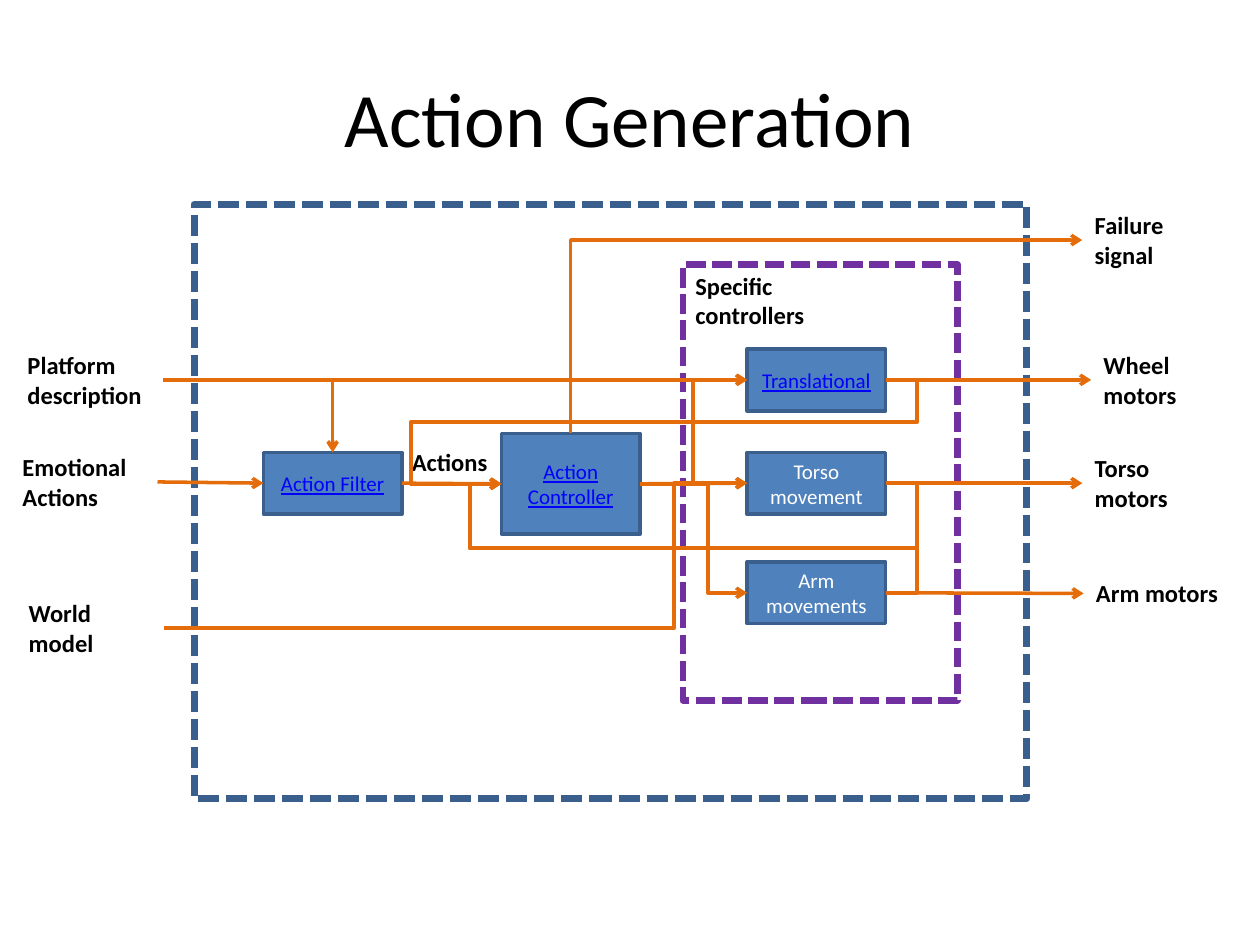
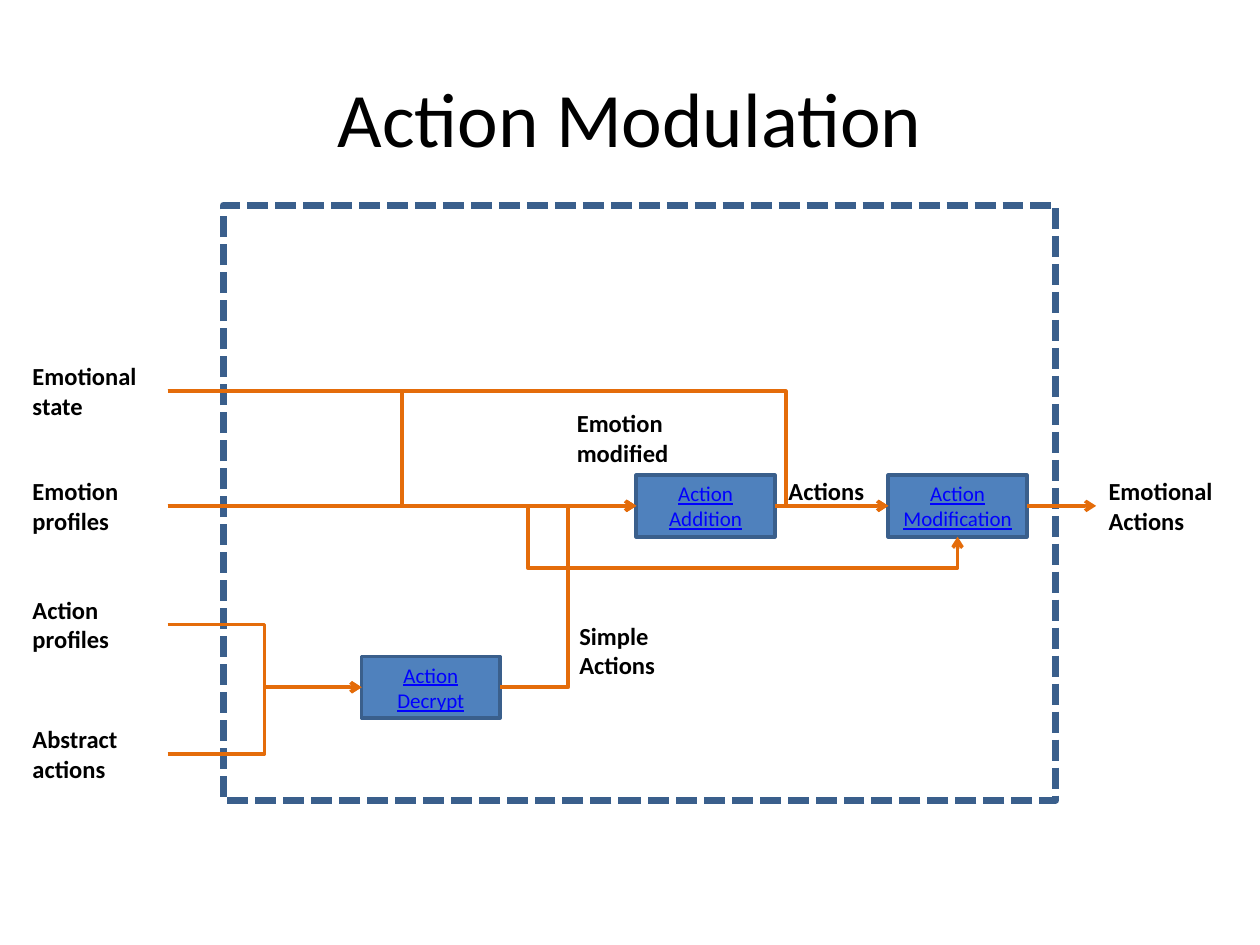
"""Build two block diagrams: action generation and action modulation."""
from lxml import etree
from pptx import Presentation
from pptx import util as u
from pptx.dml.color import RGBColor
from pptx.enum import dml, shapes, text
from pptx.oxml.ns import qn

COLORS = {"black": "000000", "white": "FFFFFF", "block": "4F81BD", "edge": "3A5F8C",
          "group": "7030A0", "flow": "E46C0A", "linked": "0000FF"}
FONT = "Calibri"
TOP, LEFT, BOTTOM, RIGHT = range(4)
LABEL_WIDTH, BLOCK_WIDTH = 1.17, 1.1
ONE_LINE, TWO_LINES = 0.34, 0.57

# frames: left, top, width, height, edge colour, edge weight
# blocks: wording, left, top, height, text colour
# labels: wording, left, top, height
# flows: start, side, end, side, bends (alternating x and y; None is straight), arrow end
DIAGRAMS = [
    {
        "title": "Action Generation",
        "frames": [(1.54, 1.62, 6.61, 4.72, "edge", 4),
                   (5.42, 2.1, 2.18, 3.46, "group", 3.75)],
        "blocks": [("Action Filter", 2.09, 3.59, 0.49, "linked"),
                   ("Action Controller", 3.98, 3.44, 0.8, "linked"),
                   ("Translational", 5.93, 2.77, 0.49, "linked"),
                   ("Torso movement", 5.93, 3.59, 0.49, "white"),
                   ("Arm movements", 5.93, 4.46, 0.49, "white")],
        "labels": [("Platform description", 0.12, 2.73, TWO_LINES),
                   ("Emotional Actions", 0.08, 3.54, TWO_LINES),
                   ("World model", 0.13, 4.7, TWO_LINES),
                   ("Failure signal", 8.59, 1.62, TWO_LINES),
                   ("Wheel motors", 8.66, 2.73, TWO_LINES),
                   ("Torso motors", 8.59, 3.55, TWO_LINES),
                   ("Arm motors", 8.6, 4.54, ONE_LINE),
                   ("Actions", 3.17, 3.5, ONE_LINE),
                   ("Specific controllers", 5.42, 2.1, TWO_LINES)],
        "flows": [("Action Filter", RIGHT, "Action Controller", LEFT, None, "tailEnd"),
                  ("Action Controller", RIGHT, "Translational", LEFT, [5.5], "tailEnd"),
                  ("Action Controller", RIGHT, "Torso movement", LEFT, None, "tailEnd"),
                  ("Action Controller", RIGHT, "Arm movements", LEFT, [5.62], "tailEnd"),
                  ("Emotional Actions", RIGHT, "Action Filter", LEFT, None, "tailEnd"),
                  ("Platform description", RIGHT, "Action Filter", TOP, [], "tailEnd"),
                  ("Platform description", RIGHT, "Translational", LEFT, None, "tailEnd"),
                  ("World model", RIGHT, "Torso movement", LEFT, [5.35], "tailEnd"),
                  ("Failure signal", LEFT, "Action Controller", TOP, [], "headEnd"),
                  ("Translational", RIGHT, "Wheel motors", LEFT, None, "tailEnd"),
                  ("Torso movement", RIGHT, "Torso motors", LEFT, None, "tailEnd"),
                  ("Arm movements", RIGHT, "Arm motors", LEFT, None, "tailEnd"),
                  ("Arm movements", RIGHT, "Action Controller", LEFT, [7.28, 4.35, 3.73], "tailEnd"),
                  ("Torso movement", RIGHT, "Action Controller", LEFT, [7.28, 4.34, 3.73], "tailEnd"),
                  ("Translational", RIGHT, "Action Controller", LEFT, [7.28, 3.35, 3.26], "tailEnd")],
    },
    {
        "title": "Action Modulation",
        "frames": [(1.77, 1.63, 6.61, 4.72, "edge", 4)],
        "blocks": [("Action Decrypt", 2.87, 5.21, 0.49, "linked"),
                   ("Action Addition", 5.05, 3.77, 0.49, "linked"),
                   ("Action Modification", 7.05, 3.77, 0.49, "linked")],
        "labels": [("Emotional state", 0.16, 2.82, TWO_LINES),
                   ("Emotion profiles", 0.16, 3.73, TWO_LINES),
                   ("Action profiles", 0.16, 4.67, TWO_LINES),
                   ("Abstract actions", 0.16, 5.7, TWO_LINES),
                   ("Emotion modified", 4.48, 3.19, TWO_LINES),
                   ("Simple Actions", 4.5, 4.88, TWO_LINES),
                   ("Emotional Actions", 8.7, 3.73, TWO_LINES),
                   ("Actions", 6.16, 3.73, ONE_LINE)],
        "flows": [("Emotional state", RIGHT, "Action Addition", LEFT, [3.19], "tailEnd"),
                  ("Action profiles", RIGHT, "Action Decrypt", LEFT, [2.1], "tailEnd"),
                  ("Abstract actions", RIGHT, "Action Decrypt", LEFT, [2.1], "tailEnd"),
                  ("Emotion profiles", RIGHT, "Action Addition", LEFT, None, "tailEnd"),
                  ("Action Decrypt", RIGHT, "Action Addition", LEFT, [4.51], "tailEnd"),
                  ("Action Addition", RIGHT, "Action Modification", LEFT, None, "tailEnd"),
                  ("Action Modification", RIGHT, "Emotional Actions", LEFT, None, "tailEnd"),
                  ("Emotion profiles", RIGHT, "Action Modification", BOTTOM, [4.19, 4.51], "tailEnd"),
                  ("Emotional state", RIGHT, "Action Modification", LEFT, [6.24], "tailEnd")],
    },
]


def write(holder, wording, size, color, align, anchor):
    frame = holder.text_frame
    frame.word_wrap = True
    frame.vertical_anchor = anchor
    paragraph = frame.paragraphs[0]
    paragraph.text = wording
    paragraph.alignment = align
    font = paragraph.font
    font.name, font.size = FONT, u.Pt(size)
    font.color.rgb = RGBColor.from_string(COLORS[color])
    return font


def add_box(slide, left, top, width, height, fill, edge, weight):
    box = slide.shapes.add_shape(shapes.MSO_SHAPE.RECTANGLE, u.Inches(left), u.Inches(top),
                                 u.Inches(width), u.Inches(height))
    box.shadow.inherit = False
    box.fill.solid()
    box.fill.fore_color.rgb = RGBColor.from_string(COLORS[fill])
    box.line.color.rgb = RGBColor.from_string(COLORS[edge])
    box.line.width = u.Pt(weight)
    return box


deck = Presentation()
deck.slide_width, deck.slide_height = u.Inches(10), u.Inches(7.5)

for diagram in DIAGRAMS:
    slide = deck.slides.add_slide(deck.slide_layouts[6])
    for left, top, width, height, edge, weight in diagram["frames"]:
        boundary = add_box(slide, left, top, width, height, "white", edge, weight)
        boundary.line.dash_style = dml.MSO_LINE.SQUARE_DOT

    title = slide.shapes.add_textbox(u.Inches(0.5), u.Inches(0.3), u.Inches(9), u.Inches(1.25))
    write(title, diagram["title"], 44, "black", text.PP_ALIGN.CENTER, text.MSO_ANCHOR.MIDDLE)

    nodes = {}
    for wording, left, top, height, color in diagram["blocks"]:
        block = add_box(slide, left, top, BLOCK_WIDTH, height, "block", "edge", 2)
        font = write(block, wording, 12, color, text.PP_ALIGN.CENTER, text.MSO_ANCHOR.MIDDLE)
        if color == "linked":
            font.underline = True
        nodes[wording] = block

    for wording, left, top, height in diagram["labels"]:
        label = slide.shapes.add_textbox(u.Inches(left), u.Inches(top),
                                         u.Inches(LABEL_WIDTH), u.Inches(height))
        font = write(label, wording, 14, "black", text.PP_ALIGN.LEFT, text.MSO_ANCHOR.TOP)
        font.bold = True
        label.text_frame.auto_size = text.MSO_AUTO_SIZE.SHAPE_TO_FIT_TEXT
        nodes[wording] = label

    for start, start_side, end, end_side, bends, arrow_end in diagram["flows"]:
        route = shapes.MSO_CONNECTOR.STRAIGHT if bends is None else shapes.MSO_CONNECTOR.ELBOW
        flow = slide.shapes.add_connector(route, 0, 0, 0, 0)
        flow.begin_connect(nodes[start], start_side)
        flow.end_connect(nodes[end], end_side)
        flow.line.color.rgb = RGBColor.from_string(COLORS["flow"])
        flow.line.width = u.Pt(2)
        properties = flow._element.spPr
        etree.SubElement(properties.find(qn("a:ln")), qn("a:" + arrow_end), type="arrow")
        etree.SubElement(properties, qn("a:effectLst"))
        if bends is None:
            continue
        geometry = properties.find(qn("a:prstGeom"))
        geometry.set("prst", f"bentConnector{len(bends) + 2}")
        guides = geometry.find(qn("a:avLst"))
        spans = [(flow.begin_x, flow.end_x), (flow.begin_y, flow.end_y)]
        for number, bend in enumerate(bends):
            first, last = spans[number % 2]
            share = round((u.Inches(bend) - first) / (last - first) * 100000)
            etree.SubElement(guides, qn("a:gd"), name=f"adj{number + 1}" if len(bends) > 1 else "adj1",
                             fmla=f"val {share}")

deck.save("out.pptx")
